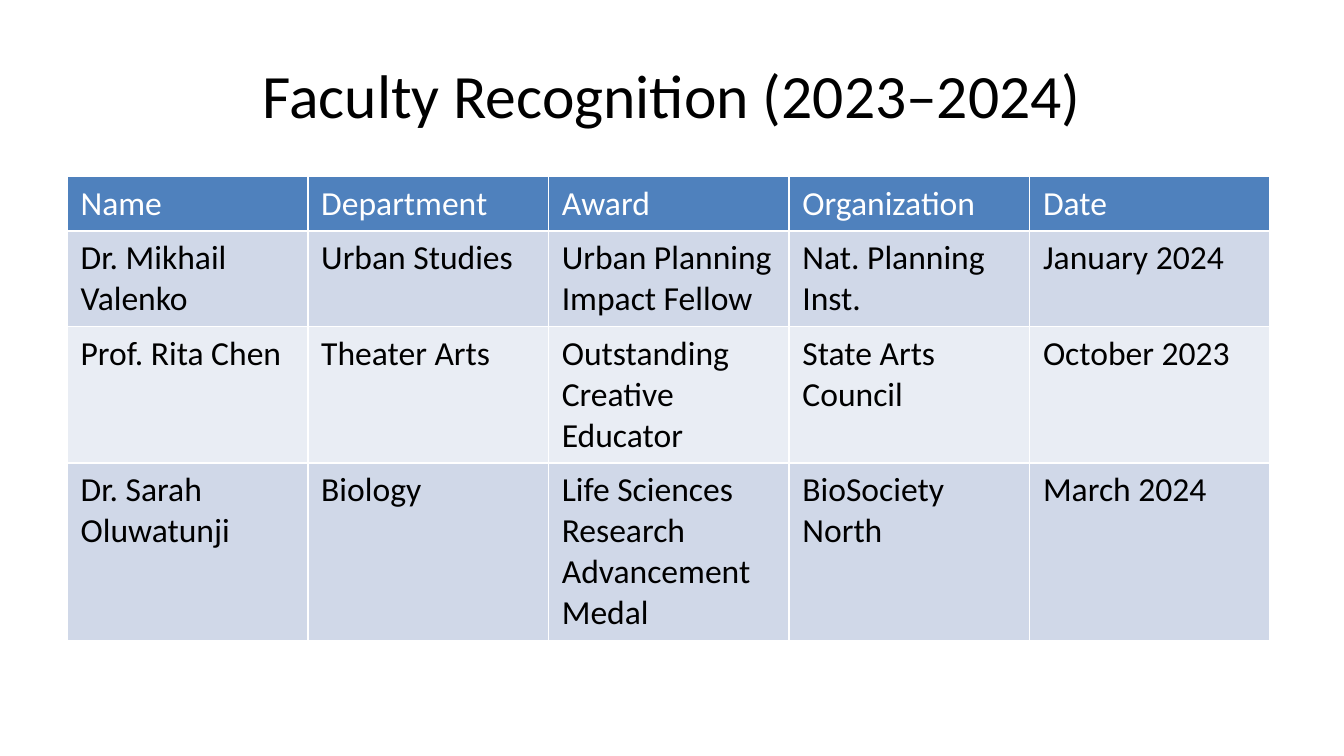
from pptx import Presentation
from pptx.dml.color import RGBColor
from pptx.enum.text import MSO_ANCHOR, PP_ALIGN
from pptx.util import Pt

CENTER = PP_ALIGN.CENTER
LEFT = PP_ALIGN.LEFT
MIDDLE = MSO_ANCHOR.MIDDLE
TOP = MSO_ANCHOR.TOP

COLORS = {
    "title": "000000",
    "header_text": "FFFFFF",
    "body_text": "000000",
    "header_fill": "4F81BD",
    "odd_fill": "D0D8E8",
    "even_fill": "E9EDF4",
}
TITLE_FORMAT = {"name": "Calibri", "size": Pt(33), "bold": False}
CELL_FORMAT = {"name": "Calibri", "size": Pt(18), "bold": False}

TITLE_BOX = (36, 16.5, 648, 67.5)
AWARDS_BOX = (36, 94.5, 644.5, 248)
ROW_HEIGHTS = (29, 51, 73, 95)
AWARDS = (
    ("Name", "Department", "Award", "Organization", "Date"),
    ("Dr. Mikhail Valenko", "Urban Studies", "Urban Planning Impact Fellow",
     "Nat. Planning Inst.", "January 2024"),
    ("Prof. Rita Chen", "Theater Arts", "Outstanding Creative Educator",
     "State Arts Council", "October 2023"),
    ("Dr. Sarah Oluwatunji", "Biology", "Life Sciences Research Advancement Medal",
     "BioSociety North", "March 2024"),
)


def write_text(frame, text, font_format, color, alignment, anchor):
    """Fill a text frame with one formatted paragraph."""
    frame.text = text
    frame.word_wrap = True
    frame.vertical_anchor = anchor
    paragraph = frame.paragraphs[0]
    paragraph.alignment = alignment
    font = paragraph.runs[0].font
    for attribute, value in font_format.items():
        setattr(font, attribute, value)
    font.color.rgb = RGBColor.from_string(COLORS[color])


def place_title(slide, box, text):
    """Move the title placeholder into its box and write the heading."""
    heading = slide.shapes.title
    heading.left, heading.top, heading.width, heading.height = map(Pt, box)
    write_text(heading.text_frame, text, TITLE_FORMAT, "title", CENTER, MIDDLE)


def place_awards(slide, box, awards):
    """Draw the awards table with equal columns and banded rows."""
    frame = slide.shapes.add_table(len(awards), len(awards[0]), *map(Pt, box))
    grid = frame.table
    for column in grid.columns:
        column.width = Pt(box[2] / len(awards[0]))
    for index, (entries, height) in enumerate(zip(awards, ROW_HEIGHTS)):
        row = grid.rows[index]
        row.height = Pt(height)
        band = "odd_fill" if index % 2 else "even_fill"
        fill = band if index else "header_fill"
        color = "body_text" if index else "header_text"
        for cell, entry in zip(row.cells, entries):
            cell.fill.solid()
            cell.fill.fore_color.rgb = RGBColor.from_string(COLORS[fill])
            write_text(cell.text_frame, entry, CELL_FORMAT, color, LEFT, None)
            cell.vertical_anchor = TOP


def main():
    """Build and save the faculty recognition slide."""
    deck = Presentation()
    deck.slide_width, deck.slide_height = Pt(720), Pt(405)
    slide = deck.slides.add_slide(deck.slide_layouts[5])
    place_title(slide, TITLE_BOX, "Faculty Recognition (2023–2024)")
    place_awards(slide, AWARDS_BOX, AWARDS)
    deck.save("out.pptx")


if __name__ == "__main__":
    main()
